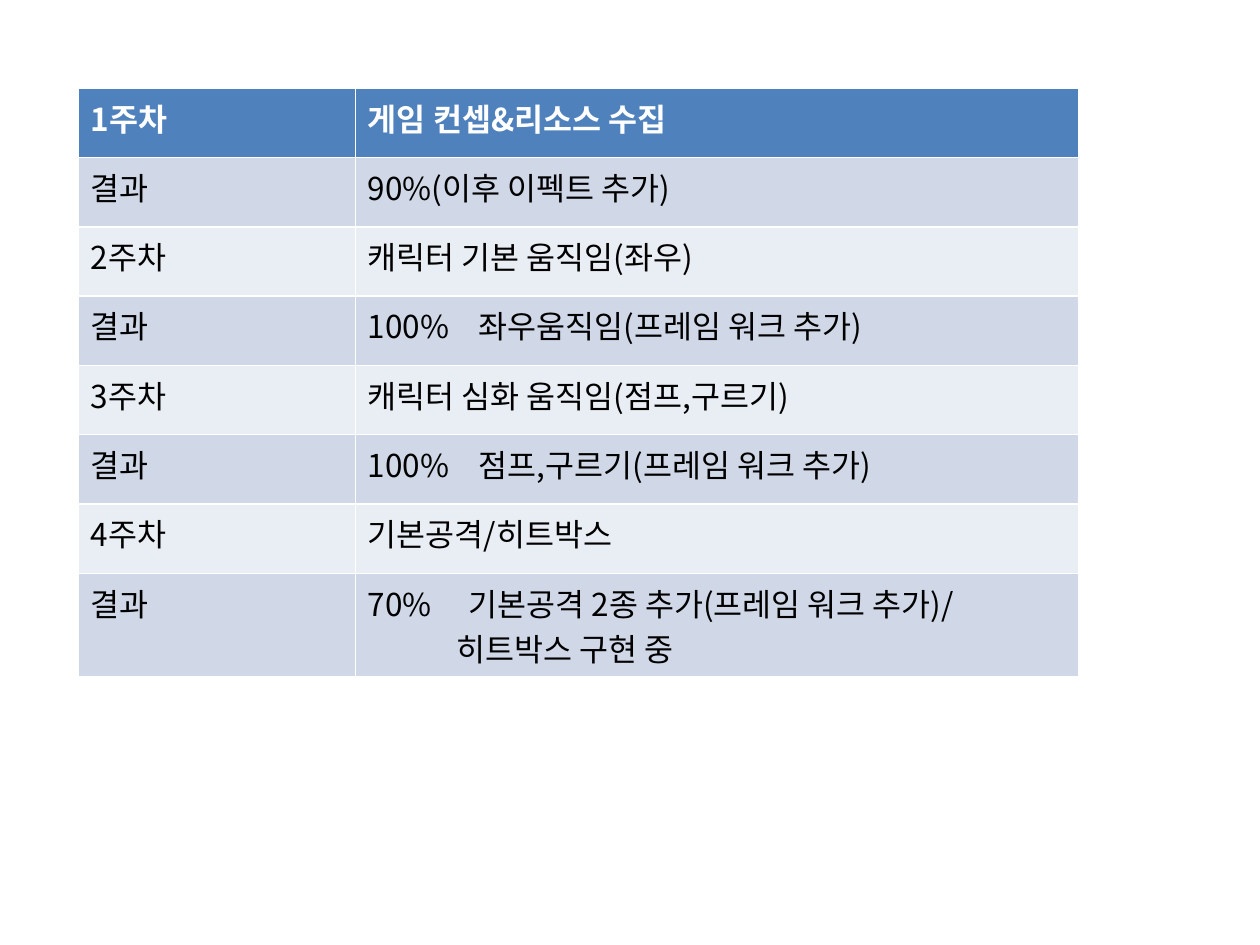
from dataclasses import dataclass

from lxml.etree import SubElement
from pptx import Presentation
from pptx.dml.color import RGBColor
from pptx.oxml import parse_xml
from pptx.oxml.ns import nsdecls, qn
from pptx.table import _Cell
from pptx.text.text import _Paragraph
from pptx.util import Inches, Pt


@dataclass(frozen=True)
class Theme:
    """Colours and type of the slide."""
    font: str = "Noto Sans CJK KR"
    size: int = 18
    header_fill: str = "4F81BD"
    result_fill: str = "D0D8E8"
    week_fill: str = "E9EDF4"
    header_text: str = "FFFFFF"
    body_text: str = "000000"


@dataclass(frozen=True)
class Line:
    """One line of text, with an optional tab stop and left margin in inches."""
    text: str
    tab: float = 0
    margin: float = 0


@dataclass(frozen=True)
class Week:
    """The plan of one week and its result."""
    plan: str
    result: tuple[Line, ...]


THEME = Theme()
COLUMNS = (2.2, 5.74)
ROW_HEIGHT = 0.55
LEFT, TOP = 0.62, 0.7
WEEKS = (
    Week("게임 컨셉&리소스 수집", (Line("90%(이후 이펙트 추가)"),)),
    Week("캐릭터 기본 움직임(좌우)", (Line("100%\t좌우움직임(프레임 워크 추가)", tab=0.88),)),
    Week("캐릭터 심화 움직임(점프,구르기)", (Line("100%\t점프,구르기(프레임 워크 추가)", tab=0.88),)),
    Week("기본공격/히트박스", (
        Line("70%\t기본공격 2종 추가(프레임 워크 추가)/", tab=0.8),
        Line("히트박스 구현 중", margin=0.7),
    )),
)


def write_line(para: _Paragraph, line: Line, header: bool) -> None:
    """Write one styled line into a paragraph."""
    para.add_run().text = line.text
    para.font.name = THEME.font
    para.font.size = Pt(THEME.size)
    para.font.bold = header
    color = THEME.header_text if header else THEME.body_text
    para.font.color.rgb = RGBColor.from_string(color)
    properties = para._p.get_or_add_pPr()
    SubElement(properties.find(qn("a:defRPr")), qn("a:ea"), typeface=THEME.font)
    if line.margin:
        properties.set("marL", str(Inches(line.margin)))
    if line.tab:
        stops = f'<a:tabLst {nsdecls("a")}><a:tab pos="{Inches(line.tab)}" algn="l"/></a:tabLst>'
        properties.insert(0, parse_xml(stops))


def fill_cell(cell: _Cell, lines: tuple[Line, ...], fill: str, header: bool) -> None:
    """Colour a cell and write its lines."""
    cell.fill.solid()
    cell.fill.fore_color.rgb = RGBColor.from_string(fill)
    frame = cell.text_frame
    for index, line in enumerate(lines):
        para = frame.add_paragraph() if index else frame.paragraphs[0]
        write_line(para, line, header)


def main() -> None:
    """Build the weekly progress table."""
    deck = Presentation()
    deck.slide_width, deck.slide_height = Inches(10), Inches(7.5)
    page = deck.slides.add_slide(deck.slide_layouts[6])
    row_count = 2 * len(WEEKS)
    table = page.shapes.add_table(
        row_count, len(COLUMNS), Inches(LEFT), Inches(TOP),
        Inches(sum(COLUMNS)), Inches(ROW_HEIGHT * row_count),
    ).table
    for column, width in zip(table.columns, COLUMNS):
        column.width = Inches(width)
    for index, week in enumerate(WEEKS):
        header = index == 0
        plan_fill = THEME.header_fill if header else THEME.week_fill
        plan_row, result_row = 2 * index, 2 * index + 1
        fill_cell(table.cell(plan_row, 0), (Line(f"{index + 1}주차"),), plan_fill, header)
        fill_cell(table.cell(plan_row, 1), (Line(week.plan),), plan_fill, header)
        fill_cell(table.cell(result_row, 0), (Line("결과"),), THEME.result_fill, False)
        fill_cell(table.cell(result_row, 1), week.result, THEME.result_fill, False)
    deck.save("out.pptx")


if __name__ == "__main__":
    main()
